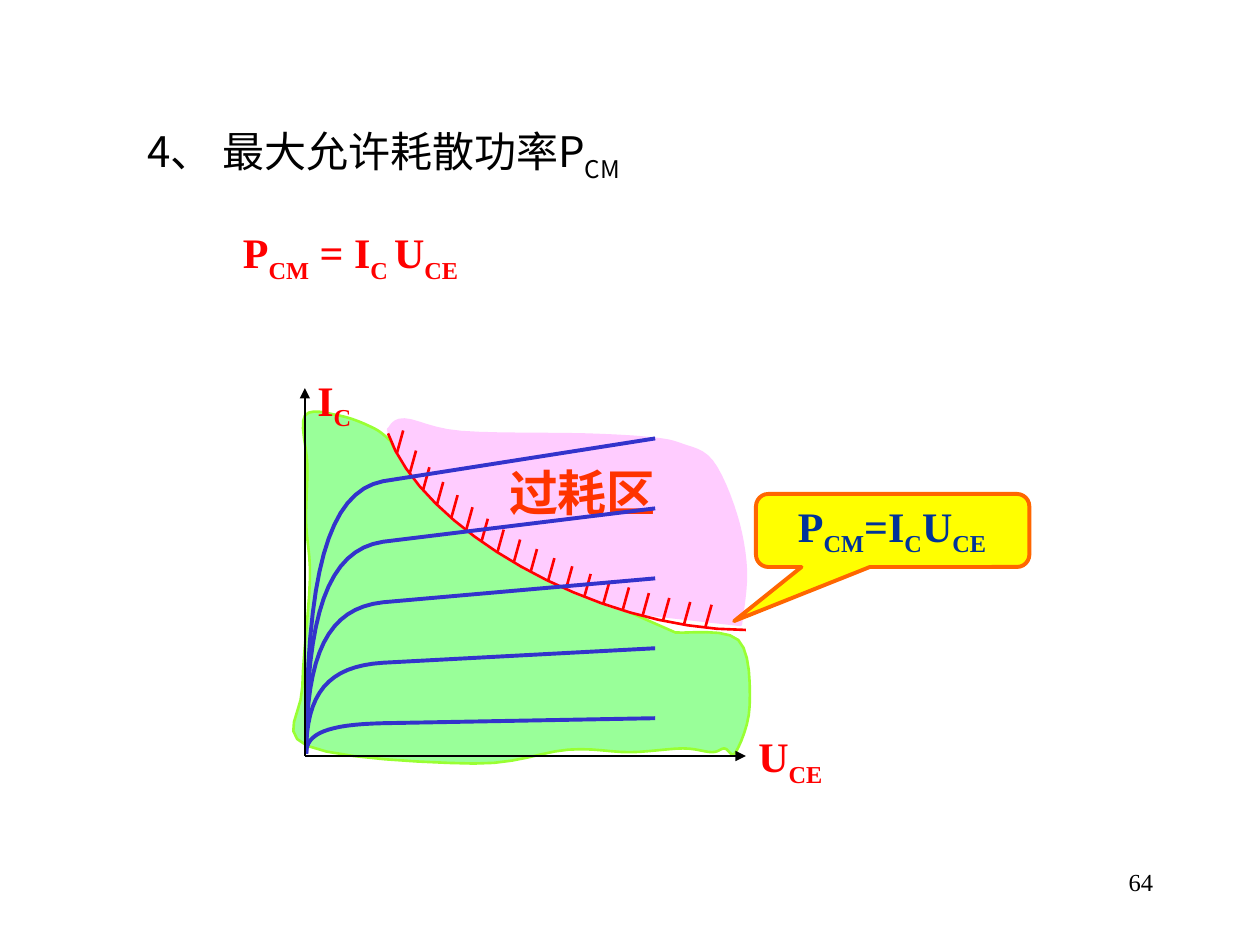
from dataclasses import dataclass

from pptx import Presentation
from pptx.dml.color import RGBColor
from pptx.enum.shapes import MSO_CONNECTOR, MSO_SHAPE
from pptx.enum.text import MSO_AUTO_SIZE, PP_ALIGN
from pptx.oxml.ns import qn
from pptx.util import Inches, Pt

LEFT, CENTER, RIGHT = PP_ALIGN.LEFT, PP_ALIGN.CENTER, PP_ALIGN.RIGHT
GROW = MSO_AUTO_SIZE.SHAPE_TO_FIT_TEXT
STRAIGHT = MSO_CONNECTOR.STRAIGHT
CALLOUT = MSO_SHAPE.ROUNDED_RECTANGULAR_CALLOUT


@dataclass(frozen=True)
class Theme:
    latin: str = "Times New Roman"
    cjk: str = "Noto Sans CJK SC"
    ink: str = "000000"
    red: str = "FF0000"
    zone_title: str = "FF3300"
    safe: str = "99FF99"
    safe_edge: str = "99FF33"
    excess: str = "FFCCFF"
    curve: str = "3333CC"
    note: str = "FFFF00"
    note_edge: str = "FF6600"
    note_text: str = "003399"
    body: int = 24
    zone: int = 28
    page: int = 14
    thin: float = 0.75
    medium: float = 1.5
    thick: float = 2.25


THEME = Theme()

# The slide is a grid of 10 columns by 7.5 rows; every place is (column, row).
COLUMNS, ROWS = 10, 7.5
CELL = Inches(1)

# Text as (normal, subscript) pairs.
TITLE = [("4、 最大允许耗散功率P", "CM")]
FORMULA = [("P", "CM"), (" = I", "C "), ("U", "CE")]
CALLOUT_TEXT = [("P", "CM"), ("=I", "C"), ("U", "CE")]
CURRENT, VOLTAGE = [("I", "C")], [("U", "CE")]
ZONE_TITLE = [("过耗区", "")]
PAGE = [("64", "")]

ORIGIN, AXIS_ENDS = (2.42, 6), [(5.92, 6), (2.42, 3.08)]
POWER_LIMIT = [(3.08, 3.44), (3.33, 4.18), (4.7, 5), (5.92, 5)]

# Free edges that close the two areas along the power limit.
SAFE_EDGE = [(5.36, 5.02), (5.86, 5.08), (5.95, 5.6), (5.84, 5.97), (5.75, 5.94),
             (5.65, 5.97), (5.42, 5.94), (5, 5.97), (4.51, 5.95), (3.76, 6.06), (2.44, 5.92),
             (2.4, 5.45), (2.46, 4.6), (2.43, 4.15), (2.44, 3.7), (2.42, 3.3),
             (2.7, 3.3), (2.97, 3.4), (3.1, 3.5)]
EXCESS_EDGE = [(5.88, 4.96), (5.92, 4.53), (5.84, 4.08), (5.65, 3.66), (5.41, 3.53),
               (5.17, 3.48), (4.66, 3.45), (3.66, 3.43), (3.21, 3.33), (3.08, 3.41)]

# Hatch spacing widens along the limit: column = start + first gap * k + growth * k².
HATCHES, HATCH_START, HATCH_GAP, HATCH_GROWTH = 19, 3.15, 0.1, 0.002
HATCH_LEAN = (0.05, -0.18)

# The output curves share one shape: (column, share of the height up to the knee).
CURVE_START, CURVE_END = (2.43, 5.98), 5.2
RISE = [(2.43, 0), (2.43, 0.66), (2.6, 0.96), (3.04, 1)]
CURVES, LOWEST_KNEE, KNEE_STEP = 5, 5.74, 0.48
LOWEST_END, END_STEP = 5.7, 0.555


def cells(place):
    return [round(value * CELL) for value in place]


def bezier(a, b, c, d, steps=16):
    points = []
    for t in (k / steps for k in range(steps + 1)):
        u = 1 - t
        points.append(tuple(u**3 * p + 3 * u * u * t * q + 3 * u * t * t * r + t**3 * s
                            for p, q, r, s in zip(a, b, c, d)))
    return points


def smooth(points):
    """Round a run of points with a Catmull-Rom curve."""
    padded = [points[0], *points, points[-1]]
    rounded = []
    for before, a, b, after in zip(padded, padded[1:], padded[2:], padded[3:]):
        leave = tuple(p + (q - o) / 6 for o, p, q in zip(before, a, b))
        reach = tuple(q - (r - p) / 6 for p, q, r in zip(a, b, after))
        rounded += bezier(a, leave, reach, b, steps=6)
    return rounded


def row_at(points, column):
    for (x1, y1), (x2, y2) in zip(points, points[1:]):
        if x1 <= column <= x2:
            return y1 + (y2 - y1) * (column - x1) / (x2 - x1)
    return points[-1][1]


def paint(shape, edge, width, fill=None):
    shape.shadow.inherit = False
    shape.line.color.rgb = RGBColor.from_string(edge)
    shape.line.width = Pt(width)
    if fill:
        shape.fill.solid()
        shape.fill.fore_color.rgb = RGBColor.from_string(fill)
    else:
        shape.fill.background()


def add_outline(shapes, points, edge, width, fill=None):
    first, *rest = [cells(point) for point in points]
    builder = shapes.build_freeform(*first)
    builder.add_line_segments(rest, close=fill is not None)
    paint(builder.convert_to_shape(), edge, width, fill)


def add_line(shapes, start, end, color, width, arrow=False):
    line = shapes.add_connector(STRAIGHT, *cells(start), *cells(end))
    line.line.color.rgb = RGBColor.from_string(color)
    line.line.width = Pt(width)
    properties = line._element.spPr
    if arrow:
        stroke = properties.find(qn("a:ln"))
        stroke.append(stroke.makeelement(qn("a:tailEnd"), {"type": "triangle"}))
    properties.append(properties.makeelement(qn("a:effectLst"), {}))


def add_text(shapes, place, pairs, *, color=THEME.red, size=THEME.body, font=THEME.latin,
             bold=True, align=LEFT, wrap=True, inset=True):
    frame = shapes.add_textbox(*cells(place)).text_frame
    frame.word_wrap, frame.auto_size = wrap, GROW
    if not inset:
        frame.margin_left = frame.margin_right = frame.margin_top = frame.margin_bottom = 0
    paragraph = frame.paragraphs[0]
    paragraph.alignment = align
    for pair in pairs:
        for text, baseline in zip(pair, (None, "-25000")):
            if not text:
                continue
            run = paragraph.add_run()
            run.text = text
            run.font.name, run.font.size, run.font.bold = font, Pt(size), bold
            run.font.color.rgb = RGBColor.from_string(color)
            props = run._r.get_or_add_rPr()
            latin = props.find(qn("a:latin"))
            latin.addnext(props.makeelement(qn("a:ea"), {"typeface": font}))
            if baseline:
                props.set("baseline", baseline)


def main():
    deck = Presentation()
    deck.slide_width, deck.slide_height = cells((COLUMNS, ROWS))
    shapes = deck.slides.add_slide(deck.slide_layouts[6]).shapes
    t = THEME
    limit = bezier(*POWER_LIMIT)
    shared = limit[1:-4]

    add_text(shapes, (7.17, 6.83, 2.08, 0.5), PAGE, color=t.ink, size=t.page, bold=False, align=RIGHT)
    add_outline(shapes, shared + smooth(SAFE_EDGE), t.safe_edge, t.medium, t.safe)
    add_outline(shapes, shared + smooth(EXCESS_EDGE), t.excess, t.medium, t.excess)
    add_text(shapes, (4.04, 3.67, 1.67, 0.47), ZONE_TITLE, color=t.zone_title, size=t.zone,
             font=t.cjk, inset=False)
    add_outline(shapes, limit, t.red, t.medium)
    for k in range(HATCHES):
        x = HATCH_START + HATCH_GAP * k + HATCH_GROWTH * k * k
        y = row_at(limit, x)
        add_line(shapes, (x + HATCH_LEAN[0], y + HATCH_LEAN[1]), (x, y), t.red, t.medium)

    add_text(shapes, (1.17, 1, 6.17, 0.5), TITLE, color=t.ink, font=t.cjk, bold=False, inset=False)
    add_text(shapes, (1.83, 1.75, 2.92, 0.5), FORMULA)

    for k in range(CURVES):
        height = CURVE_START[1] - LOWEST_KNEE + KNEE_STEP * k
        rise = bezier(*[(x, CURVE_START[1] - share * height) for x, share in RISE])
        add_outline(shapes, [*rise, (CURVE_END, LOWEST_END - END_STEP * k)], t.curve, t.thick)
    for end in AXIS_ENDS:
        add_line(shapes, ORIGIN, end, t.ink, t.thin, arrow=True)
    add_text(shapes, (2.42, 2.92, 0.49, 0.5), CURRENT, wrap=False)
    add_text(shapes, (5.92, 5.75, 0.75, 0.5), VOLTAGE, wrap=False)

    callout = shapes.add_shape(CALLOUT, *cells((6, 3.92, 2.17, 0.58)))
    for index, value in enumerate((-0.58, 1.24, 0.17)):
        callout.adjustments[index] = value
    paint(callout, t.note_edge, t.thick, t.note)
    add_text(shapes, (6.08, 3.92, 2, 0.5), CALLOUT_TEXT, color=t.note_text, align=CENTER)

    deck.save("out.pptx")


if __name__ == "__main__":
    main()
